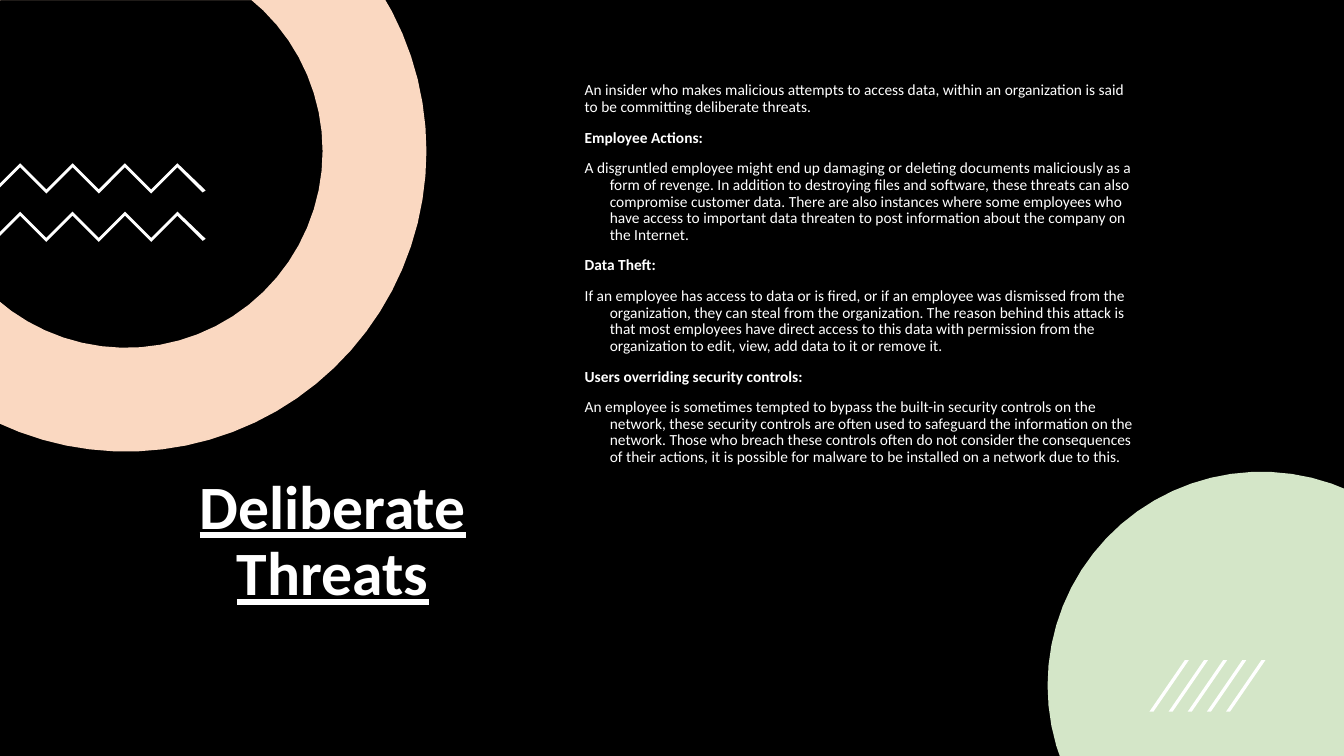
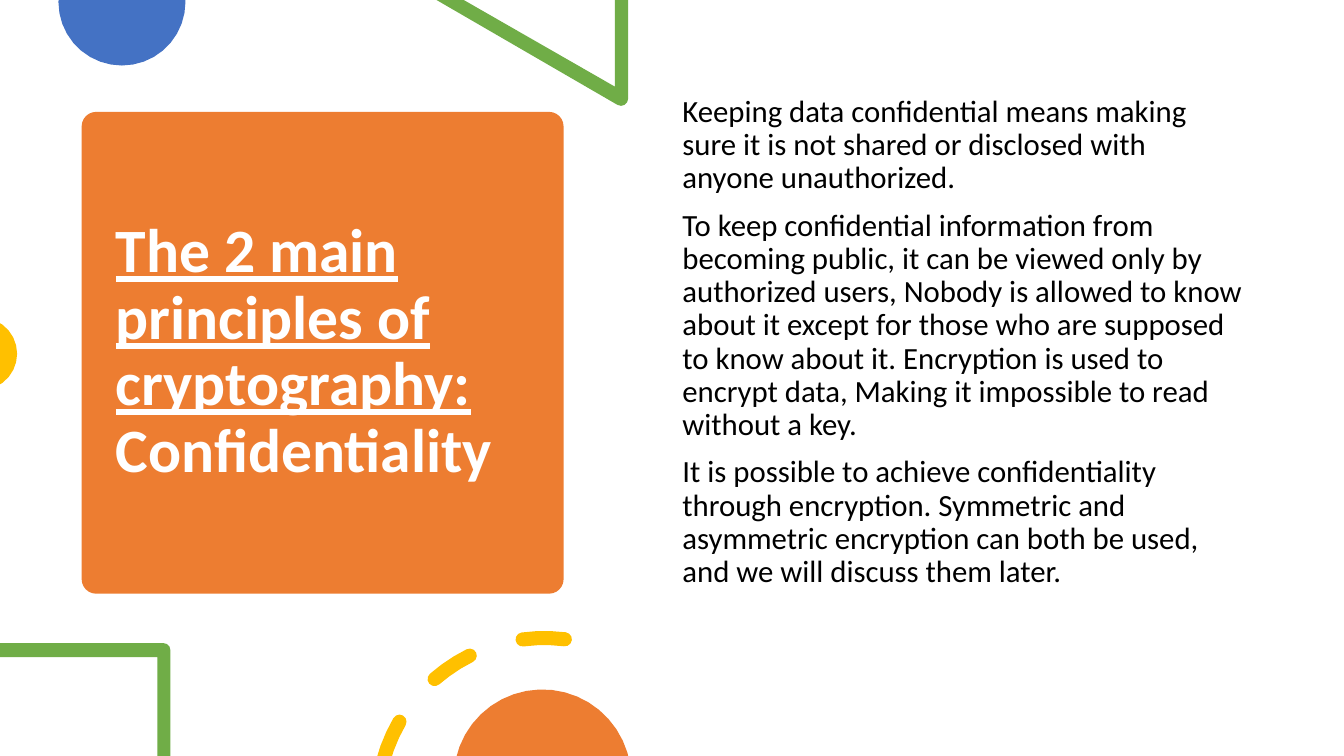
from math import ceil, cos, radians, sin, sqrt

from pptx import Presentation
from pptx.dml.color import RGBColor
from pptx.enum.shapes import MSO_SHAPE as Shape
from pptx.enum.text import MSO_ANCHOR as Anchor, PP_ALIGN as Align
from pptx.util import Inches, Pt

WIDTH, HEIGHT = 13.33, 7.5
FONT = "Calibri"
BLACK, WHITE = "000000", "FFFFFF"
ORANGE, GREEN, BLUE, GOLD = "ED7D31", "70AD47", "4472C4", "FFC000"
PEACH, MINT = "FAD8C1", "D4E6C8"
TITLE_SIZE = 44

THREATS_TITLE = ["Deliberate Threats"]
THREATS_INTRO = (
    "An insider who makes malicious attempts to access data, within an "
    "organization is said to be committing deliberate threats."
)
THREATS = [
    ("Employee Actions:",
     "A disgruntled employee might end up damaging or deleting documents "
     "maliciously as a form of revenge. In addition to destroying files and "
     "software, these threats can also compromise customer data. There are "
     "also instances where some employees who have access to important data "
     "threaten to post information about the company on the Internet."),
    ("Data Theft:",
     "If an employee has access to data or is fired, or if an employee was "
     "dismissed from the organization, they can steal from the organization. "
     "The reason behind this attack is that most employees have direct access "
     "to this data with permission from the organization to edit, view, add "
     "data to it or remove it."),
    ("Users overriding security controls:",
     "An employee is sometimes tempted to bypass the built-in security "
     "controls on the network, these security controls are often used to "
     "safeguard the information on the network. Those who breach these "
     "controls often do not consider the consequences of their actions, it is "
     "possible for malware to be installed on a network due to this."),
]

PRINCIPLES_TITLE = ["The 2 main principles of cryptography:", "Confidentiality"]
CONFIDENTIALITY = [
    "Keeping data confidential means making sure it is not shared or "
    "disclosed with anyone unauthorized.",
    "To keep confidential information from becoming public, it can be viewed "
    "only by authorized users, Nobody is allowed to know about it except for "
    "those who are supposed to know about it. Encryption is used to encrypt "
    "data, Making it impossible to read without a key.",
    "It is possible to achieve confidentiality through encryption. Symmetric "
    "and asymmetric encryption can both be used, and we will discuss them "
    "later.",
]
DASH_ANGLES = [(195, 210), (229, 243.5), (262.5, 277)]


def paint(fill, color):
    fill.solid()
    fill.fore_color.rgb = RGBColor.from_string(color)


def arc(x, y, radius, start=0, end=360):
    """Points along a circle; degrees run clockwise from the right."""
    steps = ceil(abs(end - start) * sqrt(radius) / 8)
    angles = [radians(start + (end - start) * i / steps) for i in range(steps + 1)]
    return [(x + radius * cos(a), y + radius * sin(a)) for a in angles]


def dash(x, y, radius, start, end, half=0.07):
    """Outline of a thick piece of a circle with round ends."""
    middle = arc(x, y, radius, start, end)
    return (arc(x, y, radius + half, start, end)
            + arc(*middle[-1], half, end, end + 180)
            + arc(x, y, radius - half, end, start)
            + arc(*middle[0], half, start + 180, start + 360))


def zigzag(top, stroke=0.04):
    """Outline of a wave that runs in from the left edge."""
    ridge = [(0.2 + 0.26 * i, top + 0.26 * (i % 2)) for i in range(7)]
    lower = [(x, y + stroke) for x, y in reversed(ridge)]
    return ([(0, top + 0.2)] + ridge + [(2.04, top + 0.27), (2.01, top + 0.29)]
            + lower + [(0, top + 0.24)])


def clip(points):
    """Cut an outline off exactly at the four slide edges."""
    for axis, limit, sign in ((0, 0, 1), (0, WIDTH, -1), (1, 0, 1), (1, HEIGHT, -1)):
        kept = []
        for before, here in zip(points[-1:] + points[:-1], points):
            depth_before = sign * (before[axis] - limit)
            depth = sign * (here[axis] - limit)
            if (depth_before >= 0) != (depth >= 0):
                share = depth_before / (depth_before - depth)
                kept.append(tuple(b + share * (h - b) for b, h in zip(before, here)))
            if depth >= 0:
                kept.append(here)
        points = kept
    return points


def finish(shape, color):
    paint(shape.fill, color)
    shape.line.fill.background()
    shape.shadow.inherit = False


def add_outline(slide, color, *contours):
    """Add one filled freeform; a second contour can cut a hole."""
    first, *others = [[(Inches(x), Inches(y)) for x, y in clip(points)]
                      for points in contours]
    builder = slide.shapes.build_freeform(*first[0], scale=1.0)
    builder.add_line_segments(first[1:], close=True)
    for points in others:
        builder.move_to(*points[0])
        builder.add_line_segments(points[1:], close=True)
    finish(builder.convert_to_shape(), color)


def add_text(slide, at, texts, size, color, anchor=Anchor.TOP, before=0):
    box = slide.shapes.add_textbox(*map(Inches, at))
    frame = box.text_frame
    frame.word_wrap = True
    frame.vertical_anchor = anchor
    frame.text = "\n".join(texts)
    for para in frame.paragraphs:
        para.line_spacing = 0.9
        para.space_before = Pt(before)
        for span in para.runs:
            span.font.name = FONT
            span.font.size = Pt(size)
            span.font.color.rgb = RGBColor.from_string(color)
    return frame.paragraphs


def add_title(slide, at, texts):
    paras = add_text(slide, at, texts, TITLE_SIZE, WHITE, Anchor.MIDDLE)
    for para in paras:
        para.runs[0].font.bold = True
    paras[0].runs[0].font.underline = True
    return paras


def add_body(slide, at, texts, size, color):
    return add_text(slide, at, texts, size, color, before=10)


def build_threats(slide):
    paint(slide.background.fill, BLACK)
    add_outline(slide, PEACH, arc(1.25, 1.5, 2.98), arc(1.25, 1.5, 1.95, 360, 0))
    title = add_title(slide, (1.21, 3.62, 4.18, 3.52), THREATS_TITLE)
    title[0].alignment = Align.CENTER
    for top in (1.62, 2.1):
        add_outline(slide, WHITE, zigzag(top))
    add_outline(slide, MINT, arc(12.51, 6.8, 2.12))

    texts = [THREATS_INTRO] + [text for threat in THREATS for text in threat]
    paras = add_body(slide, (5.7, 0.77, 5.71, 4.76), texts, 11, WHITE)
    for para in paras[1:]:
        properties = para._p.get_or_add_pPr()
        properties.set("marL", str(Inches(0.25)))
        properties.set("indent", str(-Inches(0.25)))
    for heading in paras[1::2]:
        heading.runs[0].font.bold = True

    for i in range(5):
        left = 11.4 + 0.19 * i
        add_outline(slide, WHITE, [(left + 0.04, 7.06), (left, 7.06),
                                   (left + 0.35, 6.55), (left + 0.39, 6.55)])


def build_confidentiality(slide):
    card = slide.shapes.add_shape(
        Shape.ROUNDED_RECTANGLE, *map(Inches, (0.81, 1.11, 4.78, 4.78)))
    card.adjustments[0] = 0.03
    finish(card, ORANGE)
    add_title(slide, (1.05, 1.22, 4.31, 4.56), PRINCIPLES_TITLE)

    triangle = [(6.23, 0), (6.1, 0), (6.1, 0.86), (4.6, 0), (4.33, 0)]
    bracket = [(1.69, 7.5), (1.56, 7.5), (1.56, 6.52), (0, 6.52), (0, 6.38)]
    add_outline(slide, BLUE, arc(1.21, 0.02, 0.63))
    add_outline(slide, GREEN, triangle + arc(6.16, 0.98, 0.07, 120, 0))
    add_outline(slide, GOLD, arc(-0.19, 3.51, 0.36))
    add_body(slide, (6.67, 0.9, 5.75, 5.35), CONFIDENTIALITY, 22, BLACK)
    add_outline(slide, GREEN, bracket + arc(1.62, 6.45, 0.07, 270, 360))
    add_outline(slide, GOLD, *[dash(5.4, 7.99, 1.66, *angles) for angles in DASH_ANGLES])
    add_outline(slide, ORANGE, arc(5.38, 7.72, 0.88))


def main():
    deck = Presentation()
    deck.slide_width, deck.slide_height = Inches(WIDTH), Inches(HEIGHT)
    for build in (build_threats, build_confidentiality):
        build(deck.slides.add_slide(deck.slide_layouts[6]))
    deck.save("out.pptx")


if __name__ == "__main__":
    main()
